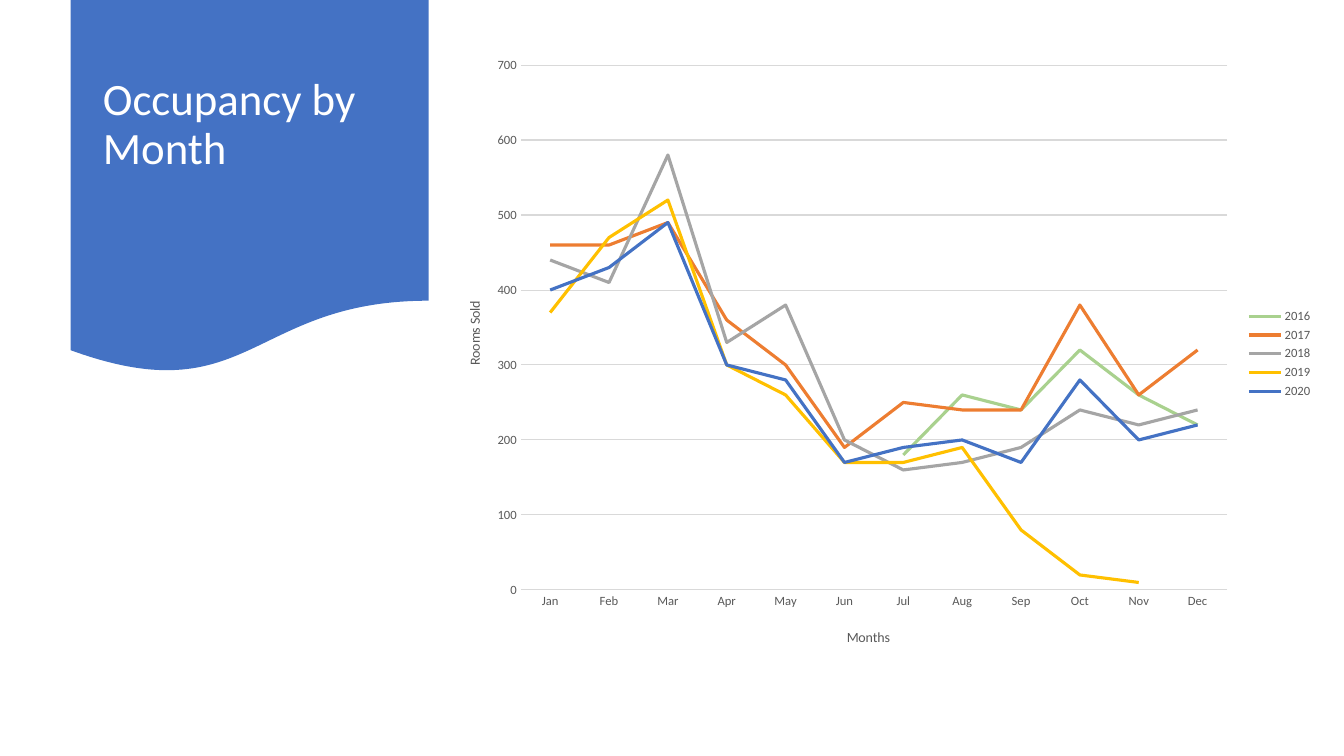
from lxml import etree
from pptx import Presentation
from pptx import util as u
from pptx.chart.data import CategoryChartData
from pptx.dml.color import RGBColor
from pptx.enum import chart as charts, shapes, text
from pptx.oxml.ns import qn

TITLE = "Occupancy by Month"
MONTHS = ["Jan", "Feb", "Mar", "Apr", "May", "Jun", "Jul", "Aug", "Sep", "Oct", "Nov", "Dec"]
ROOMS_SOLD = {
    "2016": [None] * 6 + [180, 260, 240, 320, 260, 220],
    "2017": [460, 460, 490, 360, 300, 190, 250, 240, 240, 380, 260, 320],
    "2018": [440, 410, 580, 330, 380, 200, 160, 170, 190, 240, 220, 240],
    "2019": [370, 470, 520, 300, 260, 170, 170, 190, 80, 20, 10, None],
    "2020": [400, 430, 490, 300, 280, 170, 190, 200, 170, 280, 200, 220],
}
COLORS = {
    "2016": "A9D18E", "2017": "ED7D31", "2018": "A5A5A5", "2019": "FFC000", "2020": "4472C4",
    "banner": "4472C4", "title": "FFFFFF", "label": "595959", "grid": "D9D9D9",
}
FONT = "Calibri"


def color(name):
    return RGBColor.from_string(COLORS[name])


def format_font(font, size, color_name):
    font.name = FONT
    font.size = u.Pt(size)
    font.bold = False
    font.color.rgb = color(color_name)


def write_text(frame, content, size, color_name, line_spacing=None):
    frame.text = content
    paragraph = frame.paragraphs[0]
    paragraph.line_spacing = line_spacing
    format_font(paragraph.runs[0].font, size, color_name)


def format_line(line, color_name, width):
    line.color.rgb = color(color_name)
    line.width = u.Pt(width)


def place(element, index, **fractions):
    for old in element.findall(qn("c:layout")):
        element.remove(old)
    layout = etree.Element(qn("c:layout"))
    manual = etree.SubElement(layout, qn("c:manualLayout"))
    settings = {"xMode": "edge", "yMode": "edge", **fractions}
    if "w" in fractions:
        settings = {"layoutTarget": "inner", **settings}
    for name, value in settings.items():
        etree.SubElement(manual, qn("c:" + name)).set("val", str(value))
    element.insert(index, layout)


def format_axis(axis, title, x, y):
    axis.major_tick_mark = axis.minor_tick_mark = charts.XL_TICK_MARK.NONE
    format_font(axis.tick_labels.font, 9, "label")
    write_text(axis.axis_title.text_frame, title, 10, "label")
    place(axis.axis_title._element, 1, x=x, y=y)


def add_banner(slide):
    banner = slide.shapes.add_shape(
        shapes.MSO_SHAPE.FLOWCHART_DOCUMENT,
        u.Inches(0.7), 0, u.Inches(3.55), u.Inches(3.72))
    banner.shadow.inherit = False
    banner.fill.solid()
    banner.fill.fore_color.rgb = color("banner")
    banner.line.fill.background()
    slide.shapes._spTree.insert(2, banner._element)


def add_title(slide):
    title = slide.shapes.title
    title.left, title.top = u.Inches(0.92), u.Inches(0.19)
    title.width, title.height = u.Inches(3.11), u.Inches(2.59)
    frame = title.text_frame
    frame.word_wrap = True
    frame.auto_size = text.MSO_AUTO_SIZE.NONE
    frame.vertical_anchor = text.MSO_ANCHOR.MIDDLE
    frame.margin_bottom = u.Inches(0.53)
    write_text(frame, TITLE, 32, "title", line_spacing=0.9)
    frame.paragraphs[0].alignment = text.PP_ALIGN.LEFT


def add_occupancy_chart(slide):
    data = CategoryChartData()
    data.categories = MONTHS
    for year, values in ROOMS_SOLD.items():
        data.add_series(year, values)
    chart = slide.shapes.add_chart(
        charts.XL_CHART_TYPE.LINE,
        u.Inches(4.33), u.Inches(0.45), u.Inches(8.79), u.Inches(6.12), data).chart
    chart.has_title = False
    format_font(chart.font, 10, "label")
    chart.plots[0].vary_by_categories = False
    for series in chart.plots[0].series:
        series.smooth = False
        format_line(series.format.line, series.name, 2.25)

    chart.has_legend = True
    chart.legend.position = charts.XL_LEGEND_POSITION.RIGHT
    chart.legend.include_in_layout = False
    format_font(chart.legend.font, 9, "label")

    format_axis(chart.category_axis, "Months", 0.46, 0.94)
    format_line(chart.category_axis.format.line, "grid", 0.75)
    value_axis = chart.value_axis
    format_axis(value_axis, "Rooms Sold", 0.03, 0.41)
    value_axis.minimum_scale, value_axis.maximum_scale = 0, 700
    value_axis.major_unit = 100
    value_axis.format.line.fill.background()
    value_axis.has_major_gridlines = True
    format_line(value_axis.major_gridlines.format.line, "grid", 0.75)
    plot_area = chart._chartSpace.find(".//" + qn("c:plotArea"))
    place(plot_area, 0, x=0.095, y=0.032, w=0.797, h=0.851)


def main():
    presentation = Presentation()
    presentation.slide_width, presentation.slide_height = u.Inches(13.33), u.Inches(7.5)
    slide = presentation.slides.add_slide(presentation.slide_layouts[5])
    add_banner(slide)
    add_title(slide)
    add_occupancy_chart(slide)
    presentation.save("out.pptx")


if __name__ == "__main__":
    main()
